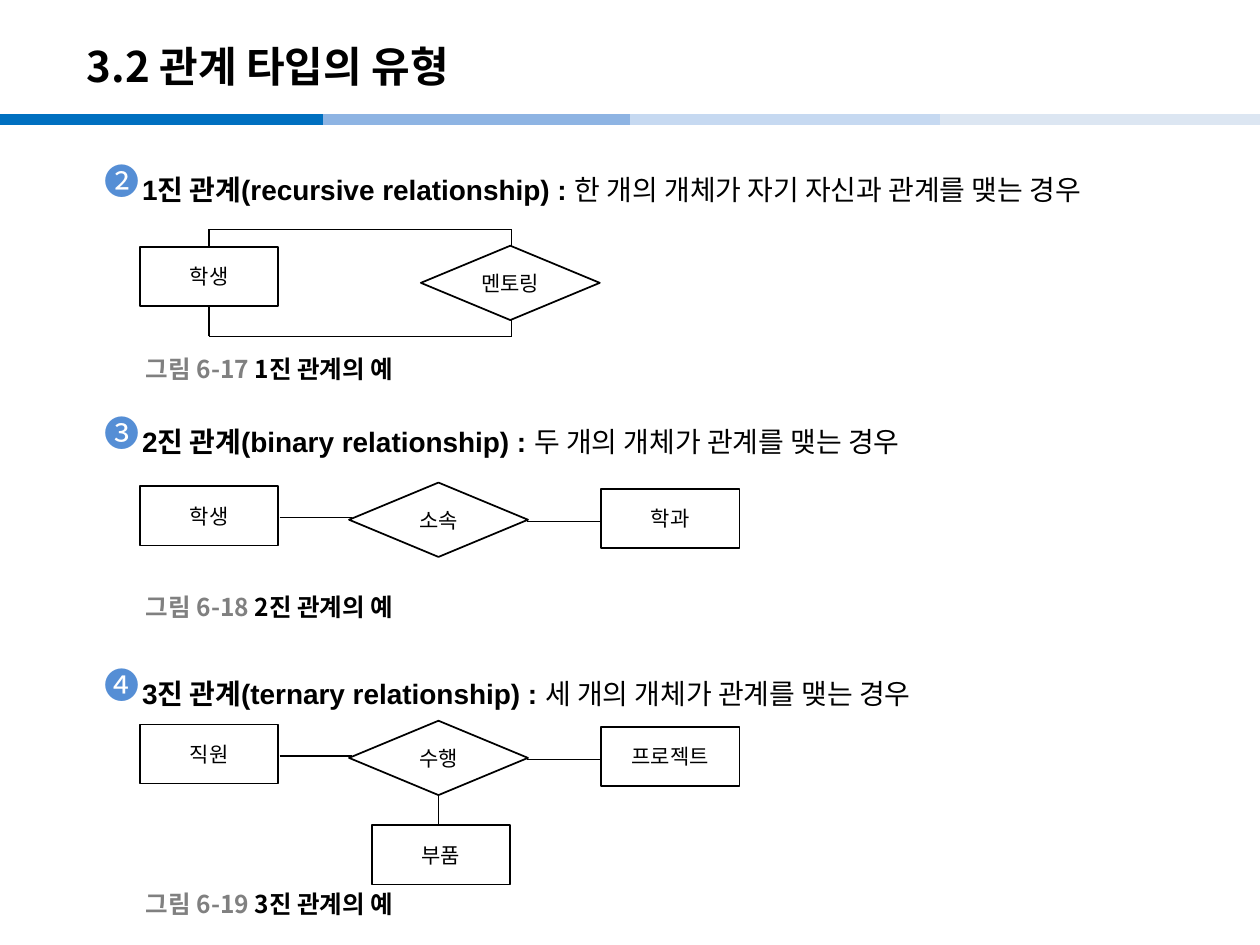
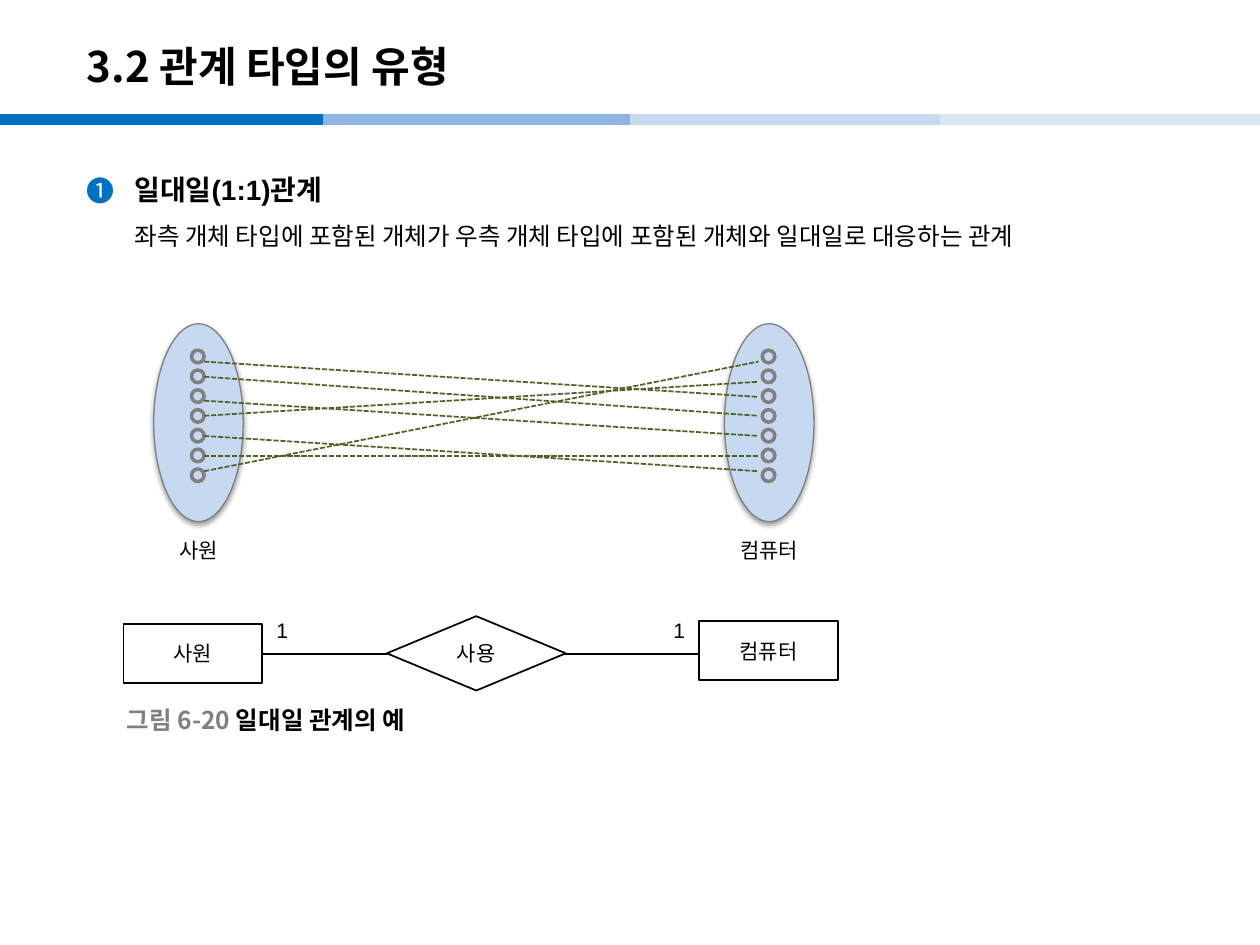
from dataclasses import dataclass

from lxml.etree import SubElement
from pptx import Presentation
from pptx.dml.color import RGBColor
from pptx.enum.dml import MSO_LINE
from pptx.enum.shapes import MSO_CONNECTOR, MSO_SHAPE
from pptx.enum.text import MSO_ANCHOR, PP_ALIGN
from pptx.oxml.ns import qn
from pptx.util import Inches, Pt


@dataclass(frozen=True)
class Theme:
    korean: str = "Noto Sans CJK KR"
    latin: str = "Arial"
    ink: str = "000000"
    paper: str = "FFFFFF"
    gray: str = "808080"
    accent: str = "0070C0"
    marker: str = "558ED5"
    pale: str = "C6D9F1"
    mapping: str = "4F6228"
    bands: tuple = ("0070C0", "8EB4E3", "C6D9F1", "DCE6F2")
    title_size: int = 24
    marker_size: int = 20
    heading_size: int = 16
    body_size: int = 14
    label_size: int = 12


THEME = Theme()
SLIDE_WIDTH, SLIDE_HEIGHT = 10, 7.5
ENTITY_WIDTH, ENTITY_HEIGHT = 1.1, 0.47
RELATION_WIDTH, RELATION_HEIGHT = 1.42, 0.59


def rgb(color):
    return RGBColor.from_string(color)


def write(paragraph, text, *, size=THEME.label_size, color=THEME.ink,
          bold=False, font=THEME.korean):
    run = paragraph.add_run()
    run.text = text
    run.font.size = Pt(size)
    run.font.bold = bold
    run.font.color.rgb = rgb(color)
    run.font.name = font
    east_asian = SubElement(run.font._element, qn("a:ea"))
    east_asian.set("typeface", THEME.korean)


def add_frame(slide, left, top, width, height, *, anchor=MSO_ANCHOR.TOP, wrap=True):
    box = slide.shapes.add_textbox(
        Inches(left), Inches(top), Inches(width), Inches(height))
    box.text_frame.word_wrap = wrap
    box.text_frame.vertical_anchor = anchor
    return box.text_frame


def add_line(slide, start, end, *, color=THEME.ink, width=0.75, dash=None):
    line = slide.shapes.add_connector(
        MSO_CONNECTOR.STRAIGHT, *(Inches(value) for value in (*start, *end)))
    line.line.color.rgb = rgb(color)
    line.line.width = Pt(width)
    if dash:
        line.line.dash_style = dash
    SubElement(line._element.spPr, qn("a:effectLst"))


def add_figure(slide, kind, left, top, width, height, *, fill=THEME.paper,
               outline=THEME.ink, weight=1):
    figure = slide.shapes.add_shape(
        kind, Inches(left), Inches(top), Inches(width), Inches(height))
    figure.fill.solid()
    figure.fill.fore_color.rgb = rgb(fill)
    figure.line.color.rgb = rgb(outline)
    figure.line.width = Pt(weight)
    figure.shadow.inherit = False
    return figure


def add_soft_shadow(figure):
    effects = figure._element.spPr.find(qn("a:effectLst"))
    shadow = SubElement(effects, qn("a:outerShdw"), blurRad=str(Pt(3.1)),
                        dist=str(Pt(1.6)), dir="5400000", rotWithShape="0")
    color = SubElement(shadow, qn("a:srgbClr"), val=THEME.ink)
    SubElement(color, qn("a:alpha"), val="38000")


def add_named_figure(slide, kind, name, left, top, width, height):
    frame = add_figure(slide, kind, left, top, width, height).text_frame
    frame.word_wrap = False
    frame.vertical_anchor = MSO_ANCHOR.MIDDLE
    frame.paragraphs[0].alignment = PP_ALIGN.CENTER
    write(frame.paragraphs[0], name)


def add_entity(slide, name, left, top):
    add_named_figure(slide, MSO_SHAPE.RECTANGLE, name, left, top,
                     ENTITY_WIDTH, ENTITY_HEIGHT)


def add_relation(slide, name, left, top):
    add_named_figure(slide, MSO_SHAPE.FLOWCHART_DECISION, name, left, top,
                     RELATION_WIDTH, RELATION_HEIGHT)


def add_label(slide, text, center, top):
    width = 0.7
    frame = add_frame(slide, center - width / 2, top, width, 0.3, wrap=False)
    frame.paragraphs[0].alignment = PP_ALIGN.CENTER
    write(frame.paragraphs[0], text, font=THEME.latin)


def add_caption(slide, number, text, left, top):
    paragraph = add_frame(slide, left, top, 3, 0.31,
                          anchor=MSO_ANCHOR.MIDDLE).paragraphs[0]
    write(paragraph, f"그림 {number} ", size=THEME.body_size, color=THEME.gray, bold=True)
    write(paragraph, text, size=THEME.body_size, bold=True)


def add_heading(slide, marker, term, meaning, top):
    """Numbered marker, bold term and its plain explanation."""
    paragraph = add_frame(slide, 1.03, top, 8.38, 0.5).paragraphs[0]
    paragraph.line_spacing = 1.5
    write(paragraph, f"{term} : ", size=THEME.heading_size, bold=True, font=THEME.latin)
    write(paragraph, meaning, size=THEME.heading_size, font=THEME.latin)
    badge = add_frame(slide, 0.73, top + 0.09, 0.6, 0.31, anchor=MSO_ANCHOR.MIDDLE)
    write(badge.paragraphs[0], marker, size=THEME.marker_size, color=THEME.marker)


def start_slide(deck, title):
    """Blank slide with the shared band and title."""
    slide = deck.slides.add_slide(deck.slide_layouts[6])
    for left, color in zip((0, 2.56, 5, 7.46), THEME.bands):
        right = min(left + 2.56, SLIDE_WIDTH)
        add_line(slide, (left, 0.95), (right, 0.95), color=color, width=6)
    frame = add_frame(slide, 0.59, 0.22, 8.27, 0.6, anchor=MSO_ANCHOR.MIDDLE)
    write(frame.paragraphs[0], title, size=THEME.title_size, bold=True)
    return slide


def draw_unary(slide, entity, relation):
    entity_x, relation_x = 1.66, 4.06
    for outer, inner in ((2.67, 2.36), (1.82, 2.1)):
        add_line(slide, (entity_x, outer), (relation_x, outer))
        for x in (entity_x, relation_x):
            add_line(slide, (x, outer), (x, inner))
    add_entity(slide, entity, 1.11, 1.96)
    add_relation(slide, relation, 3.34, 1.95)


def draw_binary(slide, left_entity, relation, right_entity, top):
    add_line(slide, (2.22, top + 0.28), (2.79, top + 0.28))
    add_line(slide, (4.18, top + 0.31), (4.76, top + 0.31))
    add_entity(slide, left_entity, 1.11, top + 0.03)
    add_entity(slide, right_entity, 4.77, top + 0.05)
    add_relation(slide, relation, 2.77, top)


def draw_ternary(slide, left_entity, relation, right_entity, lower_entity, top):
    add_line(slide, (3.48, top + 0.47), (3.48, top + 0.96), width=1)
    add_entity(slide, lower_entity, 2.95, top + 0.83)
    draw_binary(slide, left_entity, relation, right_entity, top)


def draw_entity_set(slide, name, left):
    members, pitch, dot = 7, 0.157, 0.1
    add_soft_shadow(add_figure(slide, MSO_SHAPE.OVAL, left, 2.57, 0.71, 1.57,
                               fill=THEME.pale, outline=THEME.gray, weight=0.75))
    for member in range(members):
        add_figure(slide, MSO_SHAPE.FLOWCHART_CONNECTOR, left + 0.3,
                   2.78 + member * pitch, dot, dot,
                   fill=THEME.pale, outline=THEME.gray, weight=2)
    add_label(slide, name, left + 0.355, 4.22)


def draw_mapping(slide):
    """Dashed links between members of the two sets, one to one."""
    left_ports = (2.87, 2.99, 3.18, 3.3, 3.46, 3.62, 3.74)
    right_ports = (2.87, 3.03, 3.15, 3.3, 3.46, 3.62, 3.74)
    partners = (2, 3, 4, 1, 6, 5, 0)
    for start, partner in zip(left_ports, partners):
        add_line(slide, (1.62, start), (6.02, right_ports[partner]),
                 color=THEME.mapping, width=1, dash=MSO_LINE.SQUARE_DOT)


def add_definition(slide, marker, term, meaning):
    frame = add_frame(slide, 0.59, 1.19, 8.82, 1.1)
    heading, explanation = frame.paragraphs[0], frame.add_paragraph()
    hanging = Inches(0.38)
    for paragraph, indent in ((heading, -hanging), (explanation, 0)):
        paragraph.line_spacing = 1.5
        properties = paragraph._p.get_or_add_pPr()
        properties.set("marL", str(hanging))
        properties.set("indent", str(indent))
    bullet = heading._p.get_or_add_pPr()
    SubElement(SubElement(bullet, qn("a:buClr")), qn("a:srgbClr"), val=THEME.accent)
    SubElement(bullet, qn("a:buFont"), typeface=THEME.korean)
    SubElement(bullet, qn("a:buChar"), char=marker)
    write(heading, term, size=THEME.heading_size, bold=True, font=THEME.latin)
    write(explanation, meaning, size=THEME.body_size, font=THEME.latin)


def build_degree_slide(deck, title):
    slide = start_slide(deck, title)
    headings = (
        ("❷", "1진 관계(recursive relationship)", "한 개의 개체가 자기 자신과 관계를 맺는 경우"),
        ("❸", "2진 관계(binary relationship)", "두 개의 개체가 관계를 맺는 경우"),
        ("❹", "3진 관계(ternary relationship)", "세 개의 개체가 관계를 맺는 경우"),
    )
    for row, heading in enumerate(headings):
        add_heading(slide, *heading, top=1.19 + 2 * row)
    draw_unary(slide, "학생", "멘토링")
    draw_binary(slide, "학생", "소속", "학과", top=3.83)
    draw_ternary(slide, "직원", "수행", "프로젝트", "부품", top=5.72)
    for degree, top in enumerate((2.77, 4.66, 7.02), start=1):
        add_caption(slide, f"6-{16 + degree}", f"{degree}진 관계의 예", 1.06, top)


def build_one_to_one_slide(deck, title):
    slide = start_slide(deck, title)
    add_definition(slide, "❶", "일대일(1:1)관계",
                   "좌측 개체 타입에 포함된 개체가 우측 개체 타입에 포함된 개체와 일대일로 대응하는 관계")
    draw_entity_set(slide, "사원", 1.22)
    draw_entity_set(slide, "컴퓨터", 5.75)
    draw_mapping(slide)
    add_line(slide, (2.09, 5.19), (5.55, 5.19))
    add_relation(slide, "사용", 3.07, 4.89)
    for center in (2.24, 5.39):
        add_label(slide, "1", center, 4.85)
    add_entity(slide, "사원", 0.98, 4.95)
    add_entity(slide, "컴퓨터", 5.55, 4.93)
    add_caption(slide, "6-20", "일대일 관계의 예", 0.91, 5.56)


def main():
    deck = Presentation()
    deck.slide_width = Inches(SLIDE_WIDTH)
    deck.slide_height = Inches(SLIDE_HEIGHT)
    title = "3.2 관계 타입의 유형"
    build_degree_slide(deck, title)
    build_one_to_one_slide(deck, title)
    deck.save("out.pptx")


if __name__ == "__main__":
    main()
